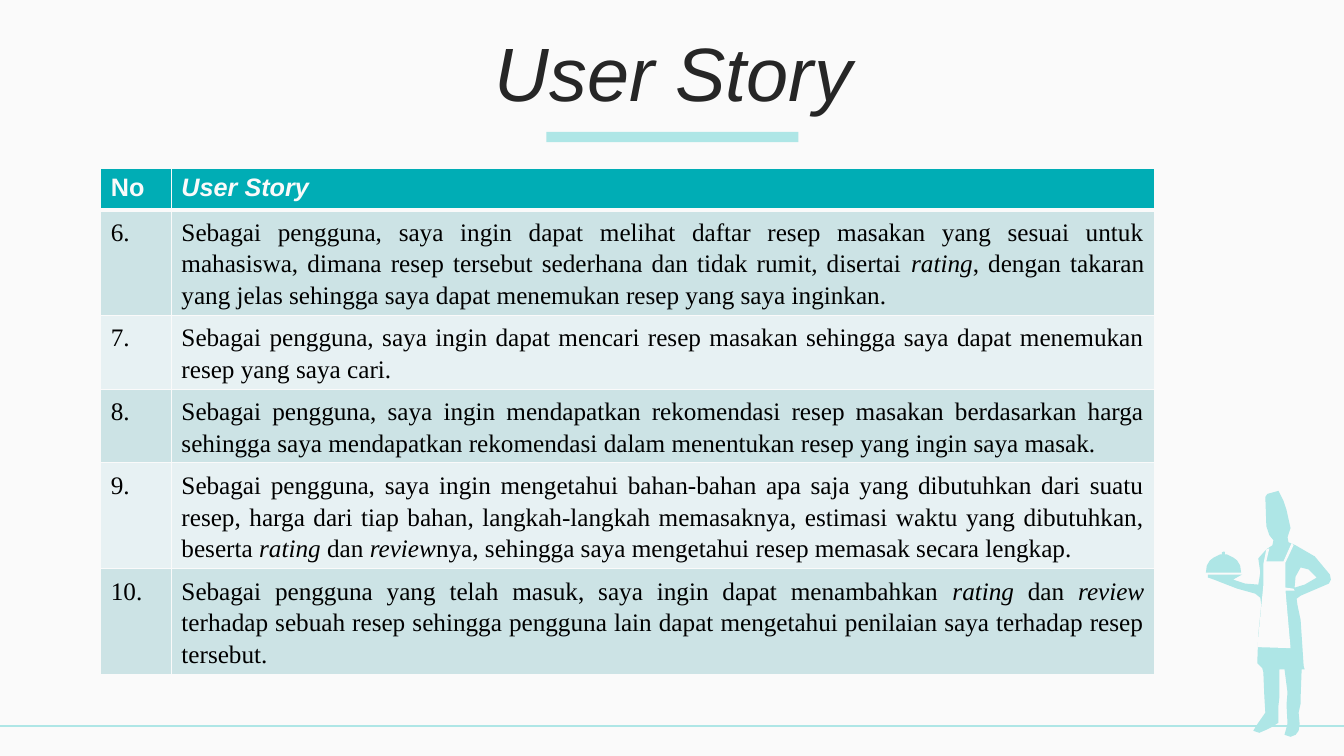
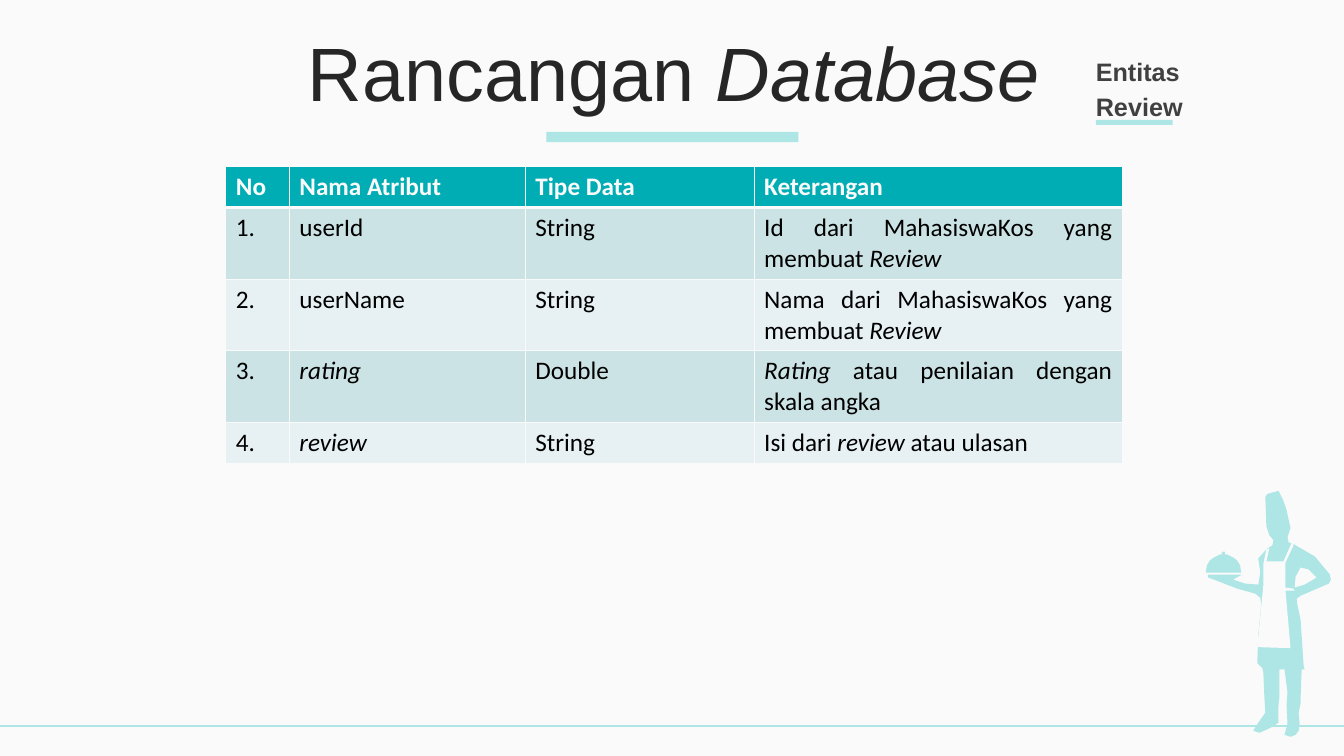
"""Build two slides: a user story table and a database design table."""
from pptx import Presentation
from pptx.dml.color import RGBColor
from pptx.enum.shapes import MSO_CONNECTOR, MSO_SHAPE
from pptx.enum.text import MSO_ANCHOR, MSO_AUTO_SIZE, PP_ALIGN
from pptx.oxml import parse_xml
from pptx.oxml.ns import nsdecls
from pptx.util import Inches, Pt

COLORS = {
    "paper": "FAFAFA", "mint": "AEE6E6", "teal": "00ADB5", "title": "262626",
    "label": "404040", "text": "000000", "odd": "CCE3E5", "even": "E7F1F3",
}
TITLE = {"name": "Arial", "size": Pt(54), "bold": False}
LABEL = {"name": "Arial", "size": Pt(18), "bold": True}

CHEF_BODY = [
    (1198, 570), (1232, 570), (1223, 575), (1235, 579), (1248, 580), (1250, 568),
    (1248, 554), (1256, 545), (1262, 541), (1263, 536), (1259, 531), (1256, 522),
    (1255, 493), (1257, 490), (1268, 487), (1273, 497), (1276, 506), (1280, 524),
    (1277, 533), (1278, 538), (1285, 541), (1304, 552), (1319, 570), (1320, 575),
    (1318, 579), (1304, 585), (1290, 591), (1286, 594), (1287, 601), (1290, 615),
    (1293, 661), (1294, 664), (1291, 664), (1290, 692), (1290, 698), (1288, 707),
    (1289, 718), (1288, 725), (1285, 729), (1280, 731), (1274, 729), (1277, 718),
    (1276, 699), (1277, 687), (1274, 664), (1269, 664), (1269, 691), (1268, 700),
    (1268, 717), (1262, 721), (1256, 724), (1249, 727), (1243, 725), (1246, 720),
    (1255, 707), (1254, 691), (1253, 667), (1252, 663), (1247, 658), (1248, 629),
    (1251, 600), (1250, 593), (1245, 589), (1227, 584), (1209, 577), (1204, 575),
    (1198, 573),
]
ARM_GAP = [(1284, 583), (1294, 580), (1306, 573), (1298, 565), (1290, 563), (1285, 572)]
APRON = [
    (1281, 539), (1273, 557), (1256, 557), (1259, 544), (1256, 545), (1253, 560),
    (1253, 581), (1250, 612), (1247, 642), (1280, 643), (1275, 586), (1284, 586),
    (1283, 584), (1275, 583), (1275, 558), (1283, 541),
]
DISH = [
    (1214, 547), (1212, 548), (1212, 550), (1210, 550), (1204, 553), (1200, 556),
    (1197, 561), (1196, 568), (1231, 568), (1230, 561), (1227, 556), (1223, 553),
    (1217, 550), (1215, 550), (1215, 548),
]
CHEF = [([CHEF_BODY, ARM_GAP], "mint"), ([APRON], "paper"), ([DISH], "mint")]

SLIDES = [
    {
        "title": "*User Story*",
        "at": (1, 1.67), "cols": [0.7, 9.75], "rows": [0.41, 1.05, 0.73, 0.73, 1.05, 1.05],
        "fonts": ("Arial", "Times New Roman"), "spacing": 1.14,
        "cells": [
            ["No", "*User Story*"],
            ["6.", "Sebagai pengguna, saya ingin dapat melihat daftar resep masakan yang sesuai "
                   "untuk mahasiswa, dimana resep tersebut sederhana dan tidak rumit, disertai "
                   "*rating*, dengan takaran yang jelas sehingga saya dapat menemukan resep yang "
                   "saya inginkan."],
            ["7.", "Sebagai pengguna, saya ingin dapat mencari resep masakan sehingga saya dapat "
                   "menemukan resep yang saya cari."],
            ["8.", "Sebagai pengguna, saya ingin mendapatkan rekomendasi resep masakan berdasarkan "
                   "harga sehingga saya mendapatkan rekomendasi dalam menentukan resep yang ingin "
                   "saya masak."],
            ["9.", "Sebagai pengguna, saya ingin mengetahui bahan-bahan apa saja yang dibutuhkan "
                   "dari suatu resep, harga dari tiap bahan, langkah-langkah memasaknya, estimasi "
                   "waktu yang dibutuhkan, beserta *rating* dan *review*nya, sehingga saya "
                   "mengetahui resep memasak secara lengkap."],
            ["10.", "Sebagai pengguna yang telah masuk, saya ingin dapat menambahkan *rating* dan "
                    "*review* terhadap sebuah resep sehingga pengguna lain dapat mengetahui "
                    "penilaian saya terhadap resep tersebut."],
        ],
    },
    {
        "title": "Rancangan *Database*", "label": ["Entitas", "Review"],
        "at": (2.24, 1.65), "cols": [0.63, 2.34, 2.27, 3.65],
        "rows": [0.41, 0.71, 0.71, 0.71, 0.41],
        "fonts": ("Calibri", "Calibri"), "spacing": 1.0,
        "cells": [
            ["No", "Nama Atribut", "Tipe Data", "Keterangan"],
            ["1.", "userId", "String", "Id dari MahasiswaKos yang membuat *Review*"],
            ["2.", "userName", "String", "Nama dari MahasiswaKos yang membuat *Review*"],
            ["3.", "*rating*", "Double", "*Rating* atau penilaian dengan skala angka"],
            ["4.", "*review*", "String", "Isi dari *review* atau ulasan"],
        ],
    },
]


def add_runs(p, text, fmt, color):
    """Write text in runs, with the parts between asterisks in italics."""
    for i, part in enumerate(text.split("*")):
        if part:
            r = p.add_run()
            r.text = part
            for key, value in fmt.items():
                setattr(r.font, key, value)
            r.font.italic = i % 2 == 1
            r.font.color.rgb = RGBColor.from_string(COLORS[color])


def paint(sp, color):
    """Give a shape a plain fill with no line or shadow."""
    sp.fill.solid()
    sp.fill.fore_color.rgb = RGBColor.from_string(COLORS[color])
    sp.line.fill.background()
    sp.shadow.inherit = False


prs = Presentation()
prs.slide_width, prs.slide_height = Inches(13.33), Inches(7.5)
bg = prs.slide_master.background.fill
bg.solid()
bg.fore_color.rgb = RGBColor.from_string(COLORS["paper"])

for page in SLIDES:
    s = prs.slides.add_slide(prs.slide_layouts[5])

    bars = [(5.42, 1.31, 2.5, 0.1)]
    if "label" in page:
        bars.append((10.87, 1.19, 0.76, 0.05))
    for bar in bars:
        paint(s.shapes.add_shape(MSO_SHAPE.RECTANGLE, *map(Inches, bar)), "mint")

    line = s.shapes.add_connector(
        MSO_CONNECTOR.STRAIGHT, 0, Inches(7.2), prs.slide_width, Inches(7.2))
    line.line.color.rgb = RGBColor.from_string(COLORS["mint"])
    line.line.width = Pt(1.5)
    line._element.spPr.append(parse_xml(f"<a:effectLst {nsdecls('a')}/>"))

    chef = s.shapes.add_group_shape()
    for outlines, color in CHEF:
        fb = chef.shapes.build_freeform(*outlines[0][0], scale=Inches(0.01))
        for outline in outlines:
            fb.move_to(*outline[0])
            fb.add_line_segments(outline[1:], close=True)
        paint(fb.convert_to_shape(), color)

    title = s.shapes.title
    title.left, title.top, title.width, title.height = map(Inches, (0.35, 0.37, 12.66, 0.79))
    tf = title.text_frame
    tf.auto_size = MSO_AUTO_SIZE.NONE
    tf.vertical_anchor = MSO_ANCHOR.MIDDLE
    p = tf.paragraphs[0]
    p.alignment = PP_ALIGN.CENTER
    p.line_spacing = 0.9
    add_runs(p, page["title"], TITLE, "title")

    cols, rows = page["cols"], page["rows"]
    table = s.shapes.add_table(
        len(rows), len(cols), *map(Inches, (*page["at"], sum(cols), sum(rows)))).table
    table.horz_banding = False
    for col, width in zip(table.columns, cols):
        col.width = Inches(width)
    for i, (row, height, texts) in enumerate(zip(table.rows, rows, page["cells"])):
        row.height = Inches(height)
        header = i == 0
        fill = "teal" if header else "odd" if i % 2 else "even"
        fmt = {"name": page["fonts"][0 if header else 1], "size": Pt(18), "bold": header}
        for cell, text in zip(row.cells, texts):
            cell.fill.solid()
            cell.fill.fore_color.rgb = RGBColor.from_string(COLORS[fill])
            p = cell.text_frame.paragraphs[0]
            p.alignment = PP_ALIGN.JUSTIFY
            p.line_spacing = 1.0 if header else page["spacing"]
            add_runs(p, text, fmt, "paper" if header else "text")
            edges = {"L": 1, "R": 1, "T": 3 if i == 1 else 1, "B": 3 if header else 1}
            for k, (side, points) in enumerate(edges.items()):
                cell._tc.get_or_add_tcPr().insert(k, parse_xml(
                    f'<a:ln{side} {nsdecls("a")} w="{Pt(points)}"><a:solidFill>'
                    f'<a:srgbClr val="{COLORS["paper"]}"/></a:solidFill></a:ln{side}>'))

    if "label" in page:
        tf = s.shapes.add_textbox(*map(Inches, (10.77, 0.53, 2.15, 0.7))).text_frame
        tf.word_wrap = True
        tf.vertical_anchor = MSO_ANCHOR.MIDDLE
        for i, text in enumerate(page["label"]):
            p = tf.add_paragraph() if i else tf.paragraphs[0]
            p.space_before = Pt(3.6 if i else 0)
            add_runs(p, text, LABEL, "label")

prs.save("out.pptx")
